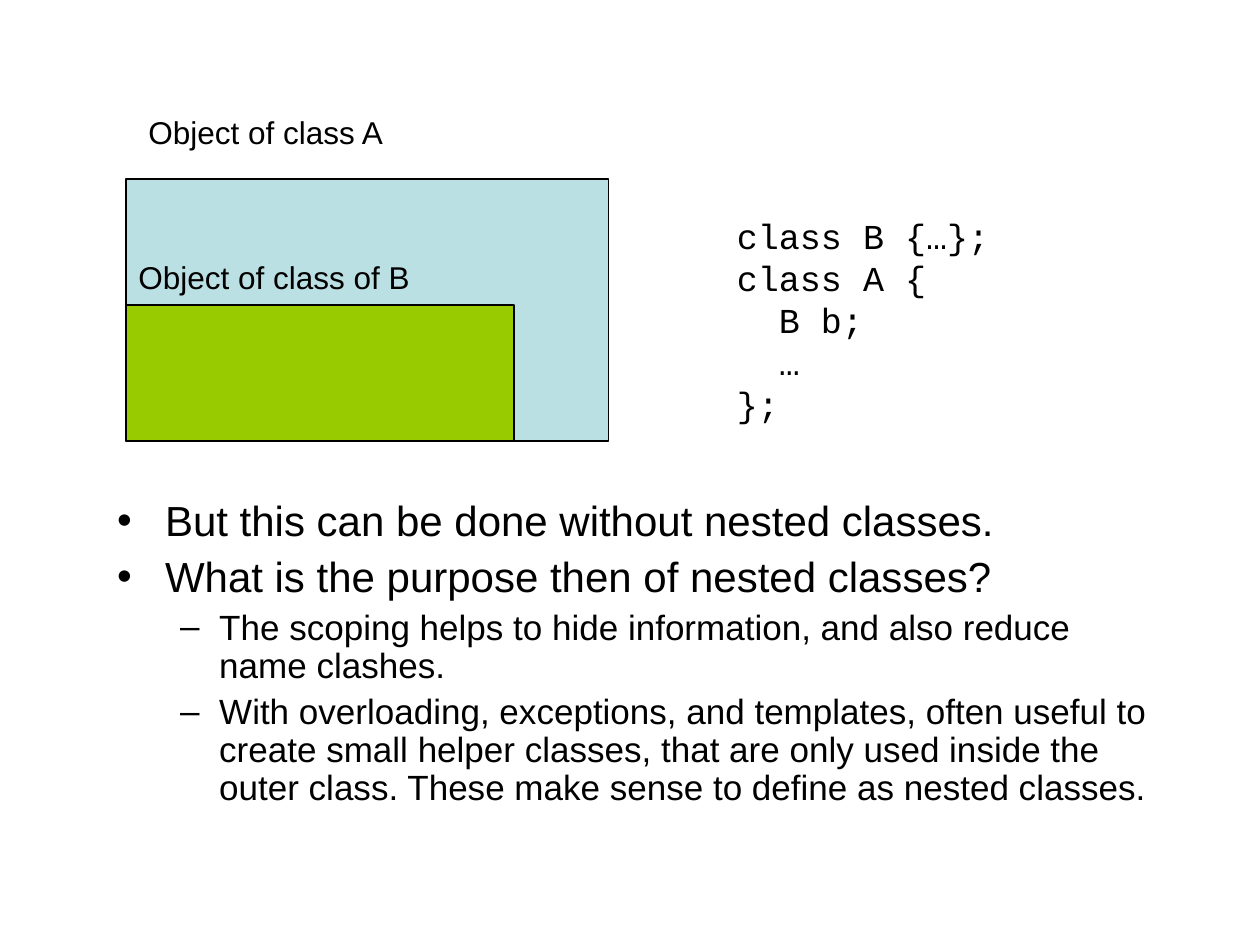
from dataclasses import dataclass

from lxml.etree import SubElement as Sub
from pptx import Presentation
from pptx.dml.color import RGBColor as Rgb
from pptx.enum.shapes import MSO_SHAPE as Kind
from pptx.enum.text import MSO_ANCHOR as Anchor, MSO_AUTO_SIZE as Fit
from pptx.oxml.ns import qn
from pptx.util import Inches, Pt


@dataclass(frozen=True)
class Theme:
    ink: Rgb = Rgb(0, 0, 0)
    outer: Rgb = Rgb.from_string("BBE0E3")
    inner: Rgb = Rgb.from_string("99CC00")
    sans: str = "Arial"
    mono: str = "Courier New"
    label: Pt = Pt(18)
    code: Pt = Pt(20)
    point: Pt = Pt(24)
    sub: Pt = Pt(20)
    rule: Pt = Pt(0.75)


LOOK = Theme()
LEVELS = [
    {"mark": "•", "left": 0.38, "hang": 0.38, "size": LOOK.point, "gap": Pt(6)},
    {"mark": "–", "left": 0.81, "hang": 0.31, "size": LOOK.sub, "gap": Pt(5)},
]
POINTS = [
    (0, "But this can be done without nested classes."),
    (0, "What is the purpose then of nested classes?"),
    (1, "The scoping helps to hide information, and also reduce name clashes."),
    (1, "With overloading, exceptions, and templates, often useful to create "
        "small helper classes, that are only used inside the outer class. "
        "These make sense to define as nested classes."),
]
CODE = ["class B {…};", "class A {\v  B b;\v  …\v};"]


def apply(item, form):
    for name, value in form.items():
        setattr(item, name, value)


def write(par, text, size, face):
    par.text = text
    for run in par.runs:
        apply(run.font, {"size": size, "name": face})
        run.font.color.rgb = LOOK.ink


def fill_frame(frame, lines, size, face):
    apply(frame, {"word_wrap": True, "auto_size": Fit.SHAPE_TO_FIT_TEXT,
                  "vertical_anchor": Anchor.TOP})
    for i, line in enumerate(lines):
        par = frame.add_paragraph() if i else frame.paragraphs[0]
        write(par, line, size, face)


def add_text(slide, box, lines, size, face):
    area = slide.shapes.add_textbox(*map(Inches, box))
    fill_frame(area.text_frame, lines, size, face)


def add_block(slide, box, color):
    block = slide.shapes.add_shape(Kind.RECTANGLE, *map(Inches, box))
    block.shadow.inherit = False
    block.fill.solid()
    block.fill.fore_color.rgb = color
    block.line.color.rgb = LOOK.ink
    block.line.width = LOOK.rule


def draw_nest(slide, box):
    left, top, width, height = box
    deep, wide = 1.08, 3.08
    base = top + height
    add_block(slide, box, LOOK.outer)
    add_block(slide, (left, base - deep, wide, deep), LOOK.inner)
    labels = [
        ("Object of class A", (left + 0.08, top - 0.57, 2.42, 0.4)),
        ("Object of class of B", (left, base - deep - 0.42, 2.75, 0.4)),
    ]
    for text, area in labels:
        add_text(slide, area, [text], LOOK.label, LOOK.sans)


def draw_code(slide, box):
    add_text(slide, box, CODE, LOOK.code, LOOK.mono)


def set_mark(par, mark, left, hang):
    props = par._p.get_or_add_pPr()
    props.set("marL", str(Inches(left)))
    props.set("indent", str(-Inches(hang)))
    Sub(props, qn("a:buFont"), typeface=LOOK.sans)
    Sub(props, qn("a:buChar"), char=mark)


def draw_list(slide, box):
    body = slide.placeholders[1]
    apply(body, dict(zip(("left", "top", "width", "height"), map(Inches, box))))
    frame = body.text_frame
    apply(frame, {"word_wrap": True, "auto_size": Fit.NONE,
                  "vertical_anchor": Anchor.TOP})
    for i, (level, text) in enumerate(POINTS):
        par = frame.add_paragraph() if i else frame.paragraphs[0]
        form = LEVELS[level]
        write(par, text, form["size"], LOOK.sans)
        apply(par, {"level": level, "line_spacing": 0.9,
                    "space_before": form["gap"]})
        set_mark(par, form["mark"], form["left"], form["hang"])


def main():
    deck = Presentation()
    apply(deck, {"slide_width": Inches(10), "slide_height": Inches(7.5)})
    slide = deck.slides.add_slide(deck.slide_layouts[1])
    title = slide.shapes.title.element
    title.getparent().remove(title)
    draw_list(slide, (0.83, 3.92, 8.5, 2.75))
    draw_nest(slide, (1, 1.42, 3.83, 2.08))
    draw_code(slide, (5.75, 1.65, 3.25, 1.77))
    deck.save("out.pptx")


if __name__ == "__main__":
    main()
